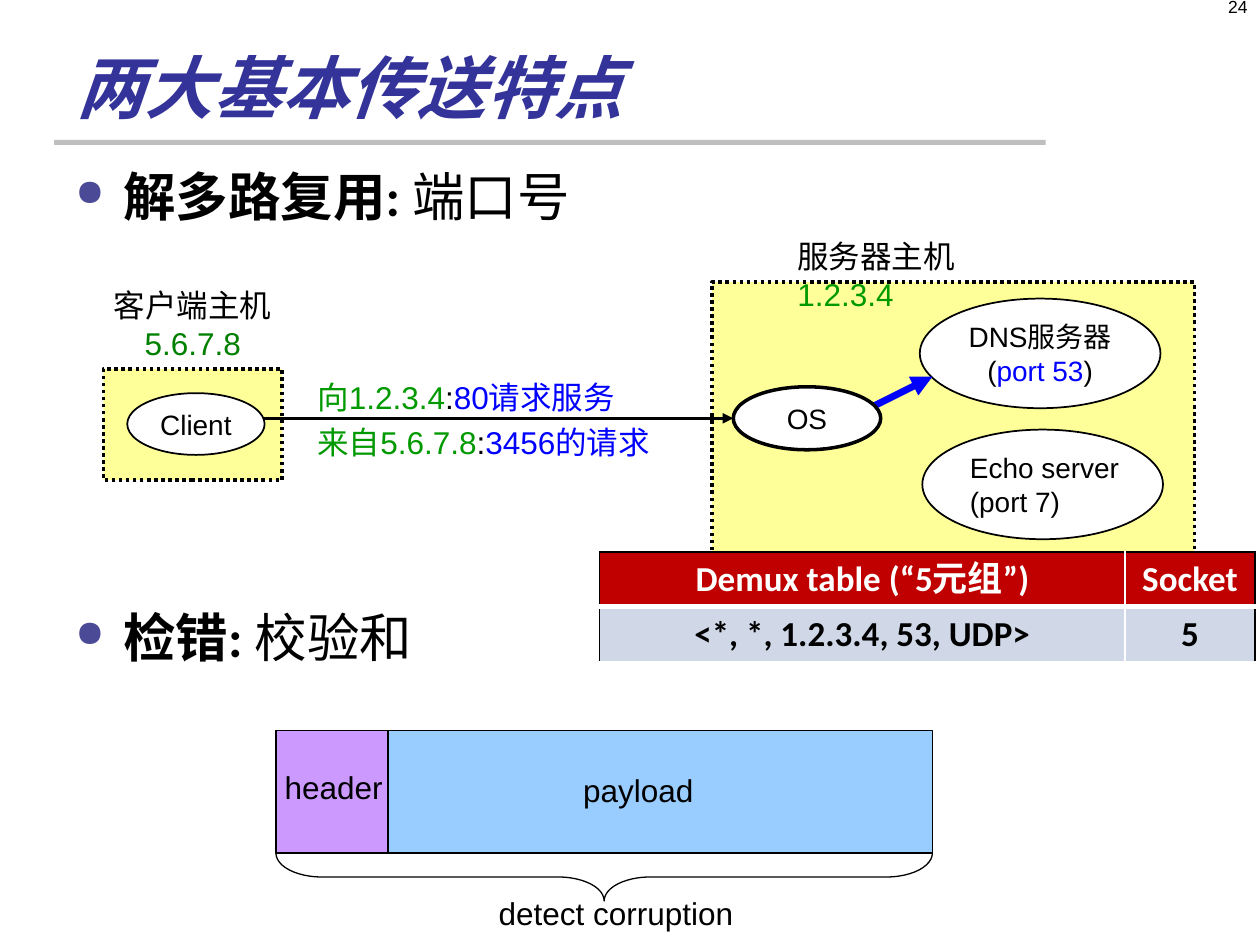
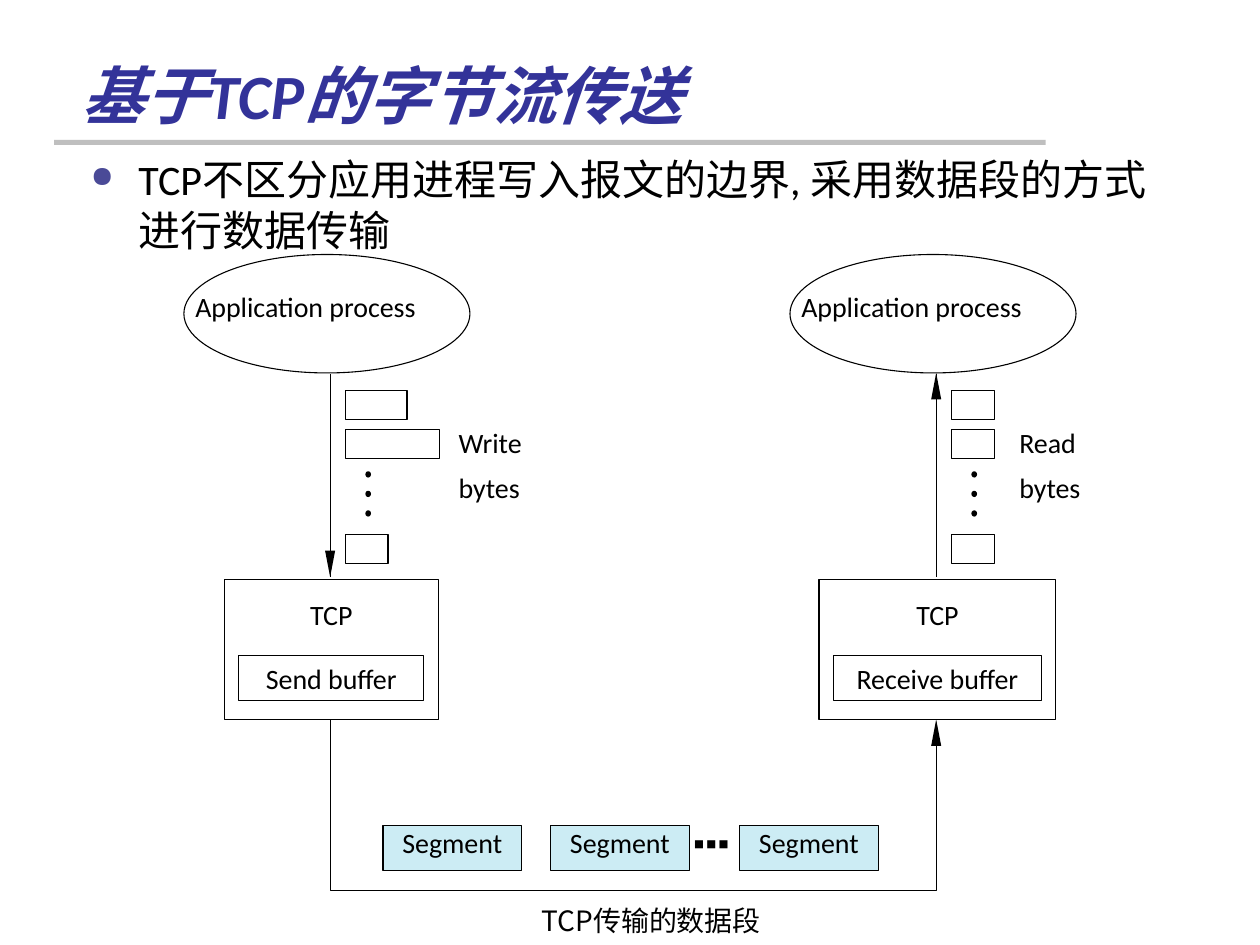
import dataclasses

import lxml.etree
import pptx
import pptx.dml.color
import pptx.enum.dml
import pptx.enum.shapes
import pptx.enum.text
import pptx.oxml.ns
import pptx.util

# Shared look: colours, fonts and a grid of 100 columns by 75 rows
BLACK, WHITE, BLUE, GREEN, DARK_GREEN = "000000", "FFFFFF", "0000FF", "009900", "008000"
TITLE_BLUE, BULLET_BLUE, RULE_GREY = "333399", "4A4A97", "BFBFBF"
HOST_YELLOW, SEGMENT_CYAN = "FFFF99", "CCECF4"
HEADER_PURPLE, PAYLOAD_BLUE = "CC99FF", "99CCFF"
TABLE_RED, TABLE_GREY = "C00000", "D0D8E8"
SANS, BODY, CHINESE = "Arial", "Calibri", "Noto Sans CJK SC"
CELL = pptx.util.Inches(0.1)
COLUMNS, ROWS = 100, 75
THIN = 0.63

SHAPE = pptx.enum.shapes.MSO_SHAPE
ALIGN = pptx.enum.text.PP_ALIGN
ANCHOR = pptx.enum.text.MSO_ANCHOR
AUTO = pptx.enum.text.MSO_AUTO_SIZE
qn = pptx.oxml.ns.qn


@dataclasses.dataclass
class Box:
    """An area measured in grid columns and rows."""
    col: float
    row: float
    cols: float = 0
    rows: float = 0

    def sub(self, col, row, cols=0, rows=0):
        return Box(self.col + col, self.row + row, cols, rows)

    def emu(self):
        return [round(n * CELL) for n in (self.col, self.row, self.cols, self.rows)]


def color(hex_string):
    return pptx.dml.color.RGBColor.from_string(hex_string)


def add_xml(parent, tag, **attributes):
    return lxml.etree.SubElement(parent, qn(tag), attributes)


# Text: a paragraph is a list of (words, colour[, bold]) runs
def add_run(paragraph, words, hex_string, bold=False, size=18, font=SANS, italic=False):
    run = paragraph.add_run()
    run.text = words
    run.font.size, run.font.name = pptx.util.Pt(size), font
    run.font.bold, run.font.italic = bold, italic
    run.font.color.rgb = color(hex_string)
    add_xml(run.font._element, "a:ea", typeface=font)


def add_bullet(paragraph):
    props = paragraph._p.get_or_add_pPr()
    props.set("marL", str(pptx.util.Inches(0.38)))
    props.set("indent", str(-pptx.util.Inches(0.38)))
    add_xml(add_xml(props, "a:buClr"), "a:srgbClr", val=BULLET_BLUE)
    add_xml(props, "a:buSzPct", val="70000")
    add_xml(props, "a:buChar", char="●")


def write(frame, paragraphs, align=ALIGN.LEFT, gap=0, bullets=False, **style):
    for index, runs in enumerate(paragraphs):
        paragraph = frame.paragraphs[0] if index == 0 else frame.add_paragraph()
        if bullets:
            add_bullet(paragraph)
        paragraph.alignment = align
        if index and gap:
            paragraph.space_before = pptx.util.Pt(gap)
        for run in runs:
            add_run(paragraph, *run, **style)


def set_margins(frame, left, top):
    frame.margin_left = frame.margin_right = pptx.util.Inches(left)
    frame.margin_top = frame.margin_bottom = pptx.util.Inches(top)


def add_text(slide, box, paragraphs, wrap=False, anchor=ANCHOR.TOP, inset=True, **style):
    frame = slide.shapes.add_textbox(*box.emu()).text_frame
    frame.word_wrap, frame.vertical_anchor = wrap, anchor
    frame.auto_size = AUTO.NONE if wrap else AUTO.SHAPE_TO_FIT_TEXT
    if not inset:
        set_margins(frame, 0, 0)
    write(frame, paragraphs, **style)


# Shapes and lines
def add_shape(slide, kind, box, fill=None, line=BLACK, width=THIN, paragraphs=(),
              anchor=ANCHOR.MIDDLE, top=0.05, **style):
    shape = slide.shapes.add_shape(kind, *box.emu())
    shape.shadow.inherit = False
    if fill:
        shape.fill.solid()
        shape.fill.fore_color.rgb = color(fill)
    else:
        shape.fill.background()
    if line:
        shape.line.color.rgb = color(line)
        shape.line.width = pptx.util.Pt(width)
    else:
        shape.line.fill.background()
    if paragraphs:
        frame = shape.text_frame
        frame.word_wrap, frame.vertical_anchor = False, anchor
        set_margins(frame, 0.1, top)
        write(frame, paragraphs, **style)
    return shape


def add_line(slide, start, end, hex_string=BLACK, width=THIN, arrow=False):
    ends = start.emu()[:2] + end.emu()[:2]
    line = slide.shapes.add_connector(pptx.enum.shapes.MSO_CONNECTOR.STRAIGHT, *ends)
    line.line.color.rgb = color(hex_string)
    line.line.width = pptx.util.Pt(width)
    if arrow:
        add_xml(line.get_or_add_ln(), "a:tailEnd", type="triangle")
    add_xml(line.element.spPr, "a:effectLst")


def add_arrowhead(slide, tip, down=False):
    head = add_shape(slide, SHAPE.ISOSCELES_TRIANGLE,
                     tip.sub(-0.4, -2.1 if down else 0, 0.8, 2.1), BLACK, None)
    head.rotation = 180 if down else 0


# Slide frame: rule, title and bullets
def start_slide(deck, title, title_box, title_size, bullets, bullet_box, bullet_size, gap=0):
    slide = deck.slides.add_slide(deck.slide_layouts[6])
    add_shape(slide, SHAPE.RECTANGLE, Box(4.3, 11.1, 78.7, 0.4), RULE_GREY, None)
    add_text(slide, title_box, [[(title, TITLE_BLUE, True)]], wrap=True,
             anchor=ANCHOR.BOTTOM, size=title_size, font=BODY, italic=True)
    add_text(slide, bullet_box, bullets, wrap=True, bullets=True, gap=gap,
             size=bullet_size, font=BODY)
    return slide


# Slide 1 regions
def add_host(slide, box):
    host = add_shape(slide, SHAPE.RECTANGLE, box, HOST_YELLOW, width=2)
    host.line.dash_style = pptx.enum.dml.MSO_LINE.ROUND_DOT


def add_client(slide, box):
    add_host(slide, box)
    add_text(slide, box.sub(-0.2, -7.1, 14.6, 7.1),
             [[("客户端主机", BLACK)], [("5.6.7.8", DARK_GREEN)]], align=ALIGN.CENTER)


def add_server(slide, box):
    add_host(slide, box)
    add_text(slide, box.sub(5.8, -4.1, 23.1, 4),
             [[("服务器主机", BLACK)], [("1.2.3.4", GREEN)]])
    services = [
        (16.5, 1.3, ALIGN.CENTER, [[("DNS服务器", BLACK)],
                                   [("(", BLACK), ("port 53", BLUE), (")", BLACK)]]),
        (16.7, 11.7, ALIGN.LEFT, [[("Echo server", BLACK)], [("(port 7)", BLACK)]]),
    ]
    for col, row, align, label in services:
        add_shape(slide, SHAPE.OVAL, box.sub(col, row, 19.1, 8.7), WHITE, width=1,
                  paragraphs=label, align=align, size=16)


def add_request(slide, box):
    """The request line from the client to the system and on to the service."""
    add_line(slide, box, box.sub(37.5, 0), width=2, arrow=True)
    requests = [("向1.2.3.4", "80请求服务", -3.7), ("来自5.6.7.8", "3456的请求", -0.1)]
    for address, port, row in requests:
        add_text(slide, box.sub(3.5, row, 32.1, 4),
                 [[(address, GREEN), (":", BLACK), (port, BLUE)]], wrap=True)
    add_line(slide, box.sub(48.3, -0.8), box.sub(53.3, -3.3), BLUE, 4, arrow=True)
    for name, area, width in [("OS", (37.5, -2.5, 11.7, 5), 2),
                              ("Client", (-10.6, -2, 10.9, 4.9), 1)]:
        add_shape(slide, SHAPE.OVAL, box.sub(*area), WHITE, width=width,
                  paragraphs=[[(name, BLACK)]], align=ALIGN.CENTER, size=16)


def add_packet(slide, box):
    for cols, fill in [(box.cols, PAYLOAD_BLUE), (8.9, HEADER_PURPLE)]:
        add_shape(slide, SHAPE.RECTANGLE, box.sub(0, 0, cols, box.rows), fill, width=0.75)
    # The brace stands upright and is turned under the packet
    depth = 3.8
    brace = add_shape(slide, SHAPE.LEFT_BRACE, box.sub(
        (box.cols - depth) / 2, box.rows + (depth - box.cols) / 2, depth, box.cols), width=0.75)
    brace.rotation = 270
    brace.adjustments[0], brace.adjustments[1] = 0.957, 0.5
    for name, col, row, cols in [("header", -0.3, 2.5, 9.9), ("payload", 23.4, 2.7, 13.7),
                                 ("detect corruption", 16.7, 12.5, 30.3)]:
        add_text(slide, box.sub(col, row, cols, 4), [[(name, BLACK)]])


def add_demux_table(slide, box):
    rows = [("Demux table (“5元组”)", "Socket"), ("<*, *, 1.2.3.4, 53, UDP>", "5")]
    looks = [(TABLE_RED, WHITE), (TABLE_GREY, BLACK)]
    table = slide.shapes.add_table(2, 2, *box.emu()).table
    for column, cols in zip(table.columns, (41.7, 10.3)):
        column.width = round(cols * CELL)
    for r, (words, (fill, ink)) in enumerate(zip(rows, looks)):
        for c, text in enumerate(words):
            cell = table.cell(r, c)
            borders = {"L": (WHITE if c else BLACK, 1), "R": (BLACK if c else WHITE, 1),
                       "T": (WHITE, 3) if r else (BLACK, 1), "B": (WHITE, 1 if r else 3)}
            for side, (hex_string, width) in borders.items():
                edge = add_xml(cell._tc.get_or_add_tcPr(), "a:ln" + side,
                               w=str(pptx.util.Pt(width)))
                add_xml(add_xml(edge, "a:solidFill"), "a:srgbClr", val=hex_string)
            cell.fill.solid()
            cell.fill.fore_color.rgb = color(fill)
            write(cell.text_frame, [[(text, ink, True)]], ALIGN.CENTER, size=20, font=BODY)


def build_transport_slide(deck):
    bullets = [[("解多路复用: ", BLACK, True), ("端口号", BLACK)],
               [("检错: ", BLACK, True), ("校验和", BLACK)]]
    slide = start_slide(deck, "两大基本传送特点", Box(5.1, 2.8, 82.5, 7.8), 39,
                        bullets, Box(5, 12.5, 95, 42.5), 30, gap=216)
    add_text(slide, Box(76.7, -0.8, 23.3, 4), [[("24", BLACK)]], wrap=True,
             align=ALIGN.RIGHT, size=10)
    add_client(slide, Box(8.2, 29.3, 14.2, 8.8))
    add_server(slide, Box(56.5, 22.4, 38.3, 21.7))
    add_request(slide, Box(20.7, 33.2))
    add_packet(slide, Box(21.9, 58, 52.1, 9.7))
    add_demux_table(slide, Box(47.6, 43.8, 52, 8.7))


# Slide 2 regions
def add_endpoint(slide, axis, buffer, verb, tcp_cols, chunks, label_col, down):
    """One side of the stream, hung on its arrow's axis at the process's top."""
    plain = {"size": 16, "font": BODY}
    add_shape(slide, SHAPE.OVAL, axis.sub(-11.6, 0, 22.7, 9.4), WHITE)
    add_text(slide, axis.sub(-10.7, 2.8, 19.4, 2.7),
             [[("Application process", BLACK)]], inset=False, **plain)

    # TCP and its buffer
    tcp = axis.sub(0.1 - tcp_cols / 2, 25.8, tcp_cols, 11.1)
    add_shape(slide, SHAPE.RECTANGLE, tcp, WHITE, paragraphs=[[("TCP", BLACK)]],
              anchor=ANCHOR.TOP, top=0.14, align=ALIGN.CENTER, **plain)
    add_shape(slide, SHAPE.RECTANGLE, tcp.sub(1.15, 6, tcp_cols - 2.3, 3.6),
              paragraphs=[[(buffer, BLACK)]], align=ALIGN.CENTER, **plain)

    # Bytes passing between process and TCP
    for cols, row in zip(chunks, (10.8, 13.9, 22.2)):
        add_shape(slide, SHAPE.RECTANGLE, axis.sub(1.2, row, cols, 2.3))
    for dot in range(3):
        add_shape(slide, SHAPE.OVAL, axis.sub(2.8, 17.2 + 1.55 * dot, 0.45, 0.5), BLACK, None)
    add_text(slide, axis.sub(label_col, 13.6, 5.4, 6.3),
             [[(verb, BLACK)], [("bytes", BLACK)]], inset=False, gap=6.5, **plain)
    add_line(slide, axis.sub(0, 9.5), axis.sub(0, 25.6))
    add_arrowhead(slide, axis.sub(0, 25.6 if down else 9.4), down)


def add_segments(slide, box):
    """The route between both TCP boxes, with the segments on it."""
    corners = [box, box.sub(0, box.rows), box.sub(box.cols, box.rows), box.sub(box.cols, 2)]
    points = [corner.emu()[:2] for corner in corners]
    builder = slide.shapes.build_freeform(*points[0])
    builder.add_line_segments(points[1:], close=False)
    route = builder.convert_to_shape()
    route.shadow.inherit = False
    route.fill.background()
    route.line.color.rgb = color(BLACK)
    route.line.width = pptx.util.Pt(THIN)
    add_arrowhead(slide, box.sub(box.cols, 0))
    for col in (4.2, 17.5, 32.5):
        add_shape(slide, SHAPE.RECTANGLE, box.sub(col, 8.4, 11, 3.6), SEGMENT_CYAN,
                  paragraphs=[[("Segment", BLACK)]], anchor=ANCHOR.TOP, top=0,
                  align=ALIGN.CENTER, size=16, font=BODY)
    add_text(slide, box.sub(28.9, 9.3, 3.6, 1), [[("■ ■ ■", BLACK)]], inset=False,
             size=6, font=BODY)
    add_text(slide, box.sub(16.8, 14.6, 18.4, 2.7), [[("TCP传输的数据段", BLACK)]],
             inset=False, size=16, font=CHINESE)


def build_stream_slide(deck):
    bullets = [[("TCP不区分应用进程写入报文的边界, 采用数据段的方式进行数据传输", BLACK)]]
    slide = start_slide(deck, "基于TCP的字节流传送", Box(5.5, 3.2, 87.5, 7.8), 36,
                        bullets, Box(6.2, 11.7, 87.5, 11.9), 24)
    add_endpoint(slide, Box(26.2, 20.2), "Send buffer", "Write", 17,
                 (4.9, 7.5, 3.4), 10.2, down=True)
    add_endpoint(slide, Box(74.3, 20.2), "Receive buffer", "Read", 18.8,
                 (3.4, 3.4, 3.4), 6.6, down=False)
    add_segments(slide, Box(26.2, 57.1, 48.1, 13.6))


def main():
    deck = pptx.Presentation()
    deck.slide_width, deck.slide_height = COLUMNS * CELL, ROWS * CELL
    build_transport_slide(deck)
    build_stream_slide(deck)
    deck.save("out.pptx")


if __name__ == "__main__":
    main()
